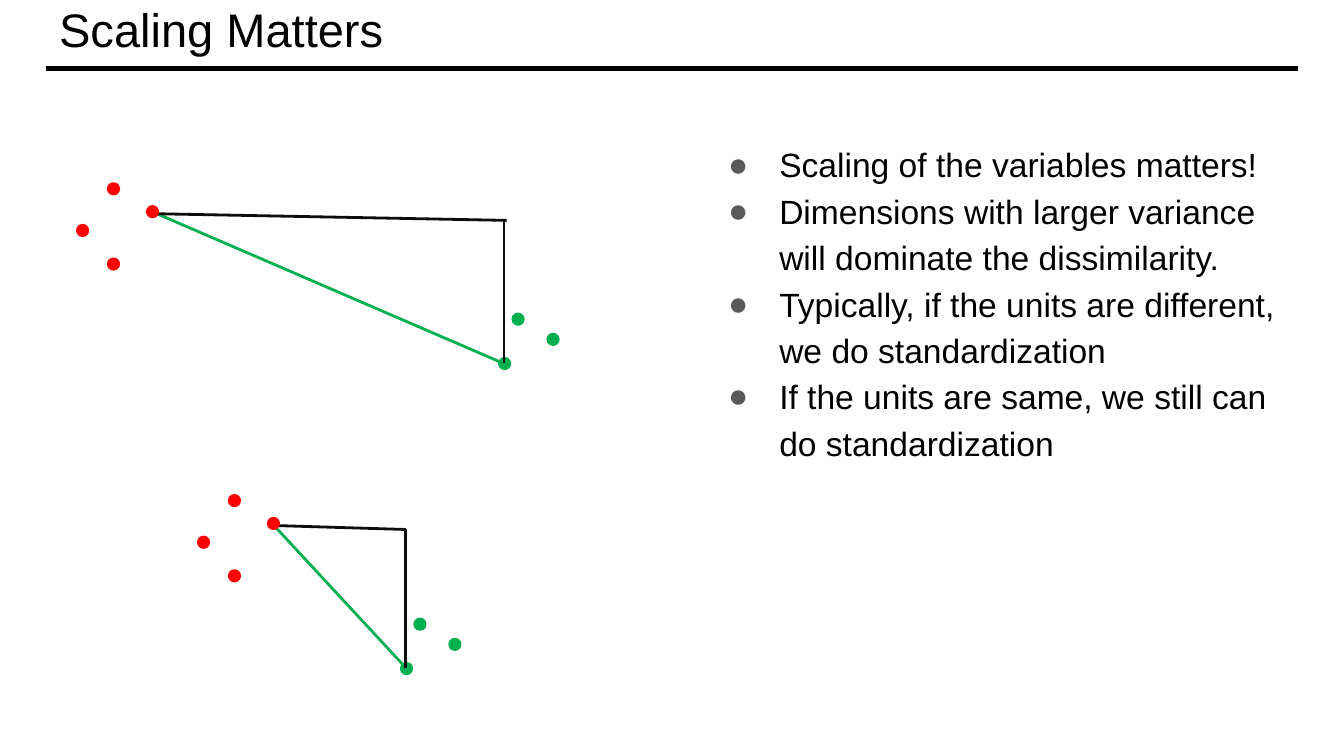
from lxml import etree
from pptx import Presentation
from pptx import util as u
from pptx.dml.color import RGBColor
from pptx.enum import shapes, text
from pptx.oxml import ns

BLACK = RGBColor(0x00, 0x00, 0x00)
LEG = RGBColor(0x0D, 0x0D, 0x0D)
RED = RGBColor(0xFF, 0x00, 0x00)
GREEN = RGBColor(0x00, 0xB0, 0x50)
BULLET = RGBColor(0x59, 0x59, 0x59)
FONT = "Arial"
DOT = 0.07

RED_OFFSETS = [(-0.52, 0.14), (-0.29, 0.39), (-0.29, -0.17), (0, 0)]
GREEN_OFFSETS = [(0.36, -0.18), (0, 0), (0.1, -0.33)]
POINTS = [
    "Scaling of the variables matters!",
    "Dimensions with larger variance will dominate the dissimilarity.",
    "Typically, if the units are different, we do standardization",
    "If the units are same, we still can do standardization",
]


def add_line(slide, start, end, color, width):
    """Draw a straight line between two points."""
    line = slide.shapes.add_connector(
        shapes.MSO_CONNECTOR.STRAIGHT, *map(u.Inches, (*start, *end)))
    line.line.color.rgb = color
    line.line.width = u.Pt(width)
    etree.SubElement(line._element.spPr, ns.qn("a:effectLst"))


def add_cluster(slide, anchor, offsets, color):
    """Draw the dots of one cluster around its anchor dot."""
    for dx, dy in offsets:
        dot = slide.shapes.add_shape(
            shapes.MSO_SHAPE.OVAL, u.Inches(anchor[0] + dx),
            u.Inches(anchor[1] + dy), u.Inches(DOT), u.Inches(DOT))
        dot.shadow.inherit = False
        dot.fill.solid()
        dot.fill.fore_color.rgb = color
        dot.line.color.rgb = color
        dot.line.width = u.Pt(2)


def add_distance_diagram(slide, left, top, width, height, drop, overhang):
    """Draw two clusters with the distance between them and its two legs."""
    red_x, red_y = left + 0.52, top + 0.17
    green_x, green_y = left + width - 0.43, top + height - DOT
    corner_x, corner_y = green_x + 0.03, red_y + drop
    add_line(slide, (green_x + 0.04, green_y + 0.04),
             (red_x + 0.02, red_y + 0.03), GREEN, 1.5)
    add_cluster(slide, (green_x, green_y), GREEN_OFFSETS, GREEN)
    add_line(slide, (corner_x + overhang, corner_y),
             (red_x + 0.03, red_y + 0.05), LEG, 1.5)
    add_line(slide, (corner_x, green_y + 0.03), (corner_x, corner_y), LEG, 1.5)
    add_cluster(slide, (red_x, red_y), RED_OFFSETS, RED)


def prepare_frame(frame, anchor):
    """Set wrapping, insets and anchor of a text frame."""
    frame.word_wrap = True
    frame.auto_size = text.MSO_AUTO_SIZE.NONE
    frame.vertical_anchor = anchor
    frame.margin_left = frame.margin_right = u.Inches(0.1)
    frame.margin_top = frame.margin_bottom = u.Inches(0.1)


def add_text(paragraph, words, size):
    """Add one left-aligned run to a paragraph."""
    paragraph.alignment = text.PP_ALIGN.LEFT
    run = paragraph.add_run()
    run.text = words
    run.font.name = FONT
    run.font.size = u.Pt(size)
    run.font.color.rgb = BLACK


def add_heading(slide, left, top, width, height):
    """Place the title and the rule below it."""
    title = slide.shapes.title
    title.left, title.top = u.Inches(left), u.Inches(top)
    title.width, title.height = u.Inches(width), u.Inches(height)
    prepare_frame(title.text_frame, text.MSO_ANCHOR.MIDDLE)
    add_text(title.text_frame.paragraphs[0], "Scaling Matters", 25.2)
    rule_y = top + height + 0.07
    add_line(slide, (left, rule_y), (left + width, rule_y), BLACK, 2.25)


def add_bullets(slide, left, top, width, height):
    """Place the bulleted remarks."""
    box = slide.shapes.add_textbox(*map(u.Inches, (left, top, width, height)))
    frame = box.text_frame
    prepare_frame(frame, text.MSO_ANCHOR.TOP)
    for index, words in enumerate(POINTS):
        paragraph = frame.add_paragraph() if index else frame.paragraphs[0]
        paragraph.line_spacing = 1.15
        properties = paragraph._p.get_or_add_pPr()
        properties.set("marL", str(u.Inches(0.5)))
        properties.set("indent", str(u.Inches(-0.38)))
        color = etree.SubElement(properties, ns.qn("a:buClr"))
        etree.SubElement(color, ns.qn("a:srgbClr"), val=str(BULLET))
        etree.SubElement(properties, ns.qn("a:buFont"), typeface=FONT)
        etree.SubElement(properties, ns.qn("a:buChar"), char="●")
        add_text(paragraph, words, 18)


def main():
    """Build the slide and save it."""
    presentation = Presentation()
    presentation.slide_width = u.Inches(10)
    presentation.slide_height = u.Inches(10 * 9 / 16)
    slide = presentation.slides.add_slide(presentation.slide_layouts[5])
    add_heading(slide, 0.34, -0.01, 9.32, 0.45)
    add_bullets(slide, 5.2, 0.93, 4.46, 4.33)
    add_distance_diagram(slide, 0.58, 1.37, 3.57, 1.37, 0.1, 0.02)
    add_distance_diagram(slide, 1.48, 3.69, 1.94, 1.32, 0.08, 0)
    presentation.save("out.pptx")


if __name__ == "__main__":
    main()
